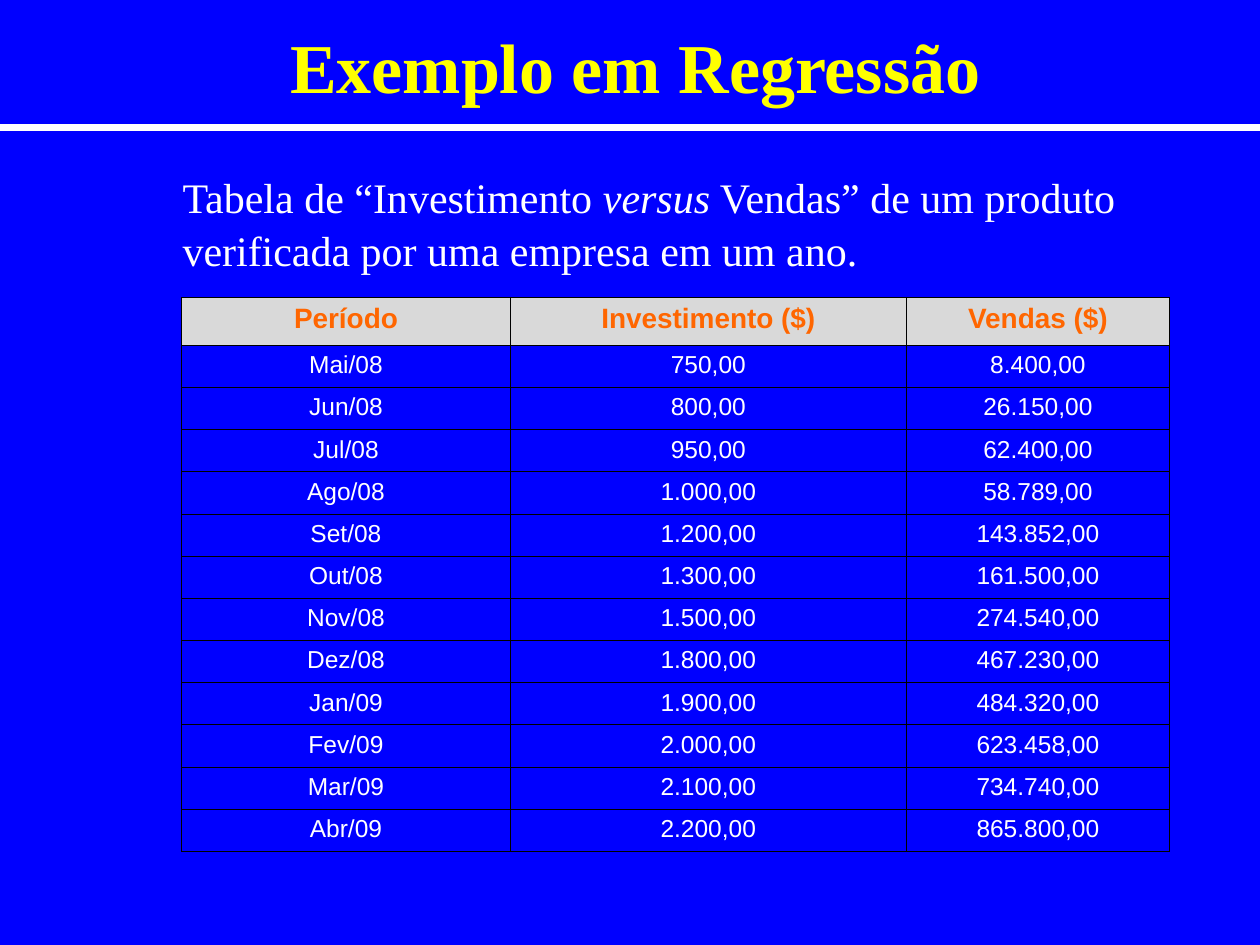
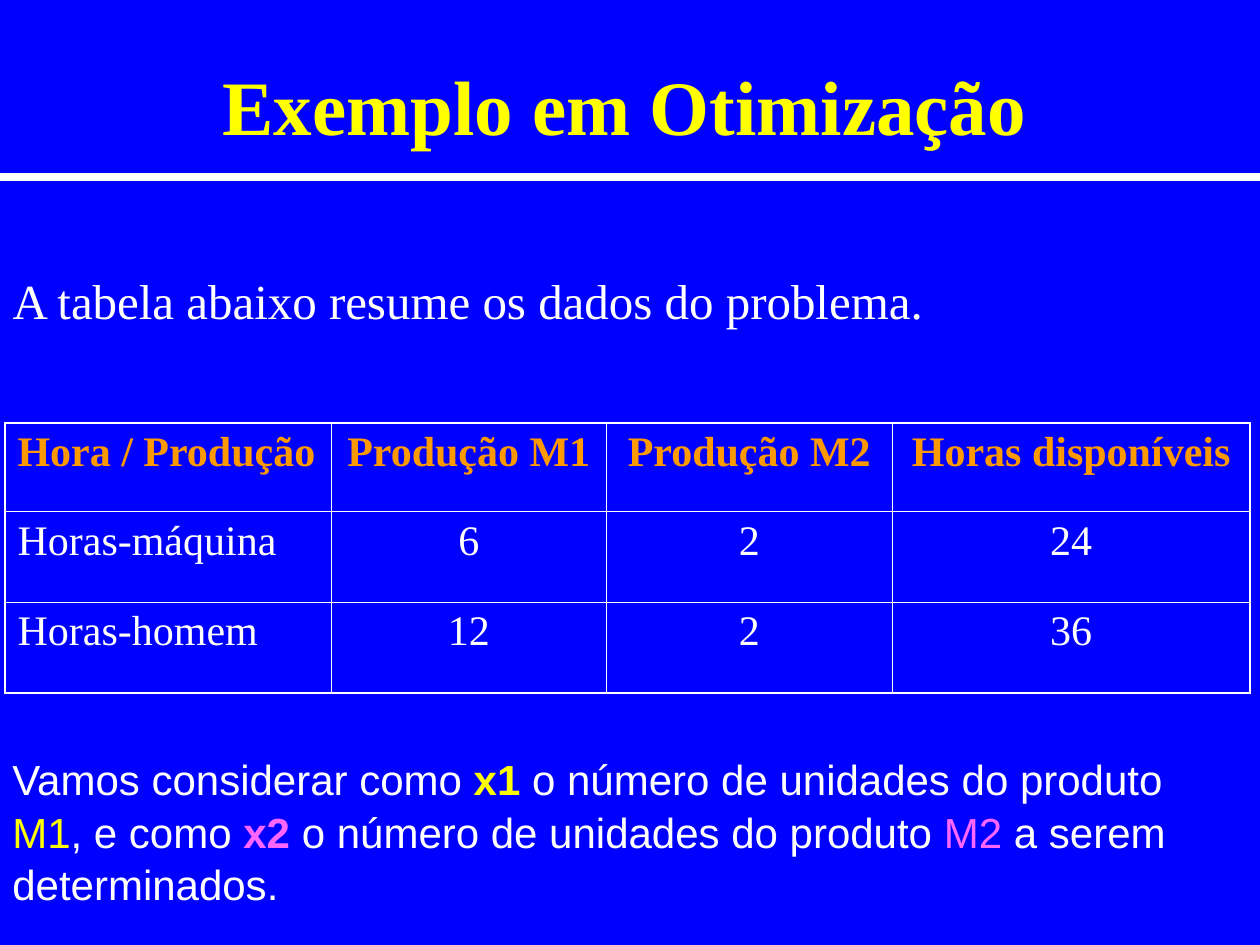
from dataclasses import dataclass
from itertools import product
from typing import Optional

from lxml.etree import SubElement as Sub
from pptx import Presentation
from pptx.dml.color import RGBColor
from pptx.enum.shapes import MSO_CONNECTOR as Link
from pptx.enum.text import MSO_ANCHOR as Anchor, MSO_AUTO_SIZE as Auto, PP_ALIGN as Align
from pptx.oxml.ns import qn
from pptx.util import Cm, Pt

BLUE = RGBColor(0x00, 0x00, 0xFF)
WHITE = RGBColor(0xFF, 0xFF, 0xFF)
BLACK = RGBColor(0x00, 0x00, 0x00)
YELLOW = RGBColor(0xFF, 0xFF, 0x00)
PINK = RGBColor(0xFF, 0x66, 0xFF)
RUST = RGBColor(0xFF, 0x66, 0x00)
AMBER = RGBColor(0xFF, 0x99, 0x00)
GREY = RGBColor(0xD9, 0xD9, 0xD9)
SERIF, SANS = "Times New Roman", "Arial"
WIDE, HIGH = 25.4, 19.05


@dataclass(frozen=True)
class Box:
    left: float
    top: float
    width: float
    height: float

    def cm(self) -> tuple:
        return Cm(self.left), Cm(self.top), Cm(self.width), Cm(self.height)


@dataclass(frozen=True)
class Type:
    font: str
    size: float
    ink: RGBColor = WHITE
    bold: bool = False
    slant: bool = False


@dataclass(frozen=True)
class Piece:
    text: str
    type: Type


@dataclass(frozen=True)
class Grid:
    left: float
    top: float
    cols: tuple
    head_high: float
    row_high: float
    head: Type
    body: Type
    line: RGBColor
    rim: float
    fill: Optional[RGBColor] = None
    first: Align = Align.CENTER


def write(par, pieces: list, align: Align = Align.LEFT, pitch: float = 1.0) -> None:
    par.alignment, par.line_spacing = align, pitch
    par.space_before = Pt(0)
    for piece in pieces:
        run = par.add_run()
        run.text = piece.text
        font, look = run.font, piece.type
        font.name, font.size = look.font, Pt(look.size)
        font.bold, font.italic = look.bold, look.slant
        font.color.rgb = look.ink


def place(shape, box: Box) -> None:
    shape.left, shape.top, shape.width, shape.height = box.cm()


def add_title(slide, text: str, box: Box, size: float) -> None:
    title = slide.shapes.title
    place(title, box)
    frame = title.text_frame
    frame.auto_size, frame.vertical_anchor = Auto.NONE, Anchor.MIDDLE
    write(frame.paragraphs[0], [Piece(text, Type(SERIF, size, YELLOW, True))], Align.CENTER)


def add_rule(slide, top: float) -> None:
    rule = slide.shapes.add_connector(Link.STRAIGHT, Cm(0), Cm(top), Cm(WIDE), Cm(top))
    rule.line.color.rgb, rule.line.width = WHITE, Pt(4.5)
    Sub(rule._element.spPr, qn("a:effectLst"))


def add_lead(slide, text: str, box: Box) -> None:
    lead = slide.placeholders[1]
    place(lead, box)
    frame = lead.text_frame
    frame.auto_size = Auto.NONE
    par = frame.paragraphs[0]
    props = par._p.get_or_add_pPr()
    props.set("marL", "0")
    props.set("indent", "0")
    Sub(props, qn("a:buNone"))
    write(par, [Piece(text, Type(SERIF, 28))], pitch=0.7)


def add_note(slide, lines: list, box: Box) -> None:
    frame = slide.shapes.add_textbox(*box.cm()).text_frame
    frame.word_wrap = True
    for spot, pieces in enumerate(lines):
        par = frame.add_paragraph() if spot else frame.paragraphs[0]
        write(par, pieces, pitch=1.05)


def edge(cell, side: str, width: float, ink: RGBColor) -> None:
    line = Sub(cell._tc.get_or_add_tcPr(), qn(f"a:ln{side}"), w=str(Pt(width)))
    Sub(Sub(line, qn("a:solidFill")), qn("a:srgbClr"), val=str(ink))


def add_grid(slide, grid: Grid, data: list) -> None:
    rows, cols = len(data), len(grid.cols)
    highs = [grid.head_high] + [grid.row_high] * (rows - 1)
    box = Box(grid.left, grid.top, sum(grid.cols), sum(highs))
    table = slide.shapes.add_table(rows, cols, *box.cm()).table
    table.horz_banding = False
    for col, width in zip(table.columns, grid.cols):
        col.width = Cm(width)
    for row, high in zip(table.rows, highs):
        row.height = Cm(high)
    for r, c in product(range(rows), range(cols)):
        cell = table.cell(r, c)
        rims = {"L": c == 0, "R": c == cols - 1, "T": r == 0, "B": r == rows - 1}
        for side, rim in rims.items():
            edge(cell, side, grid.rim if rim else 0.45, grid.line)
        if r == 0 and grid.fill is not None:
            cell.fill.solid()
            cell.fill.fore_color.rgb = grid.fill
        else:
            cell.fill.background()
        look = grid.body if r else grid.head
        align = Align.CENTER if c else grid.first
        write(cell.text_frame.paragraphs[0], [Piece(data[r][c], look)], align)


SALES = [
    ("Período", "Investimento ($)", "Vendas ($)"),
    ("Mai/08", "750,00", "8.400,00"),
    ("Jun/08", "800,00", "26.150,00"),
    ("Jul/08", "950,00", "62.400,00"),
    ("Ago/08", "1.000,00", "58.789,00"),
    ("Set/08", "1.200,00", "143.852,00"),
    ("Out/08", "1.300,00", "161.500,00"),
    ("Nov/08", "1.500,00", "274.540,00"),
    ("Dez/08", "1.800,00", "467.230,00"),
    ("Jan/09", "1.900,00", "484.320,00"),
    ("Fev/09", "2.000,00", "623.458,00"),
    ("Mar/09", "2.100,00", "734.740,00"),
    ("Abr/09", "2.200,00", "865.800,00"),
]
HOURS = [
    ("Hora / Produção", "Produção M1", "Produção M2", "Horas disponíveis"),
    ("Horas-máquina", "6", "2", "24"),
    ("Horas-homem", "12", "2", "36"),
]


def sales_slide(deck) -> None:
    slide = deck.slides.add_slide(deck.slide_layouts.get_by_name("Title Only"))
    add_title(slide, "Exemplo em Regressão", Box(2.01, 0.6, 21.59, 1.45), 40)
    add_rule(slide, 2.57)
    grid = Grid(3.66, 5.99, (6.63, 7.98, 5.31), 0.97, 0.85,
                Type(SANS, 16, RUST, True), Type(SANS, 14), BLACK, 0.45, GREY)
    add_grid(slide, grid, SALES)
    plain = Type(SERIF, 24)
    add_note(slide, [[
        Piece("Tabela de “Investimento ", plain),
        Piece("versus", Type(SERIF, 24, slant=True)),
        Piece(" Vendas” de um produto verificada por uma empresa em um ano.", plain),
    ]], Box(3.43, 3.28, 19.69, 2.29))


def hours_slide(deck) -> None:
    slide = deck.slides.add_slide(deck.slide_layouts.get_by_name("Title and Content"))
    add_title(slide, "Exemplo em Otimização", Box(1.8, 0.61, 21.59, 3), 44)
    add_lead(slide, "A tabela abaixo resume os dados do problema.", Box(0, 5.64, 24.87, 1.32))
    grid = Grid(0.1, 8.53, (6.58, 5.54, 5.77, 7.21), 1.78, 1.83,
                Type(SERIF, 24, AMBER, True), Type(SERIF, 24), WHITE, 1.08, first=Align.LEFT)
    add_grid(slide, grid, HOURS)
    add_rule(slide, 3.56)
    plain = Type(SANS, 24)
    add_note(slide, [
        [
            Piece("Vamos considerar como ", plain),
            Piece("x1", Type(SANS, 24, YELLOW, True)),
            Piece(" o número de unidades do produto", plain),
        ],
        [
            Piece("M1", Type(SANS, 24, YELLOW)),
            Piece(", e como ", plain),
            Piece("x2", Type(SANS, 24, PINK, True)),
            Piece(" o número de unidades do produto ", plain),
            Piece("M2", Type(SANS, 24, PINK)),
            Piece(" a serem determinados.", plain),
        ],
    ], Box(0, 15.01, WIDE, 3.3))


def main() -> None:
    deck = Presentation()
    deck.slide_width, deck.slide_height = Cm(WIDE), Cm(HIGH)
    back = deck.slide_master.background.fill
    back.solid()
    back.fore_color.rgb = BLUE
    sales_slide(deck)
    hours_slide(deck)
    deck.save("out.pptx")


if __name__ == "__main__":
    main()
